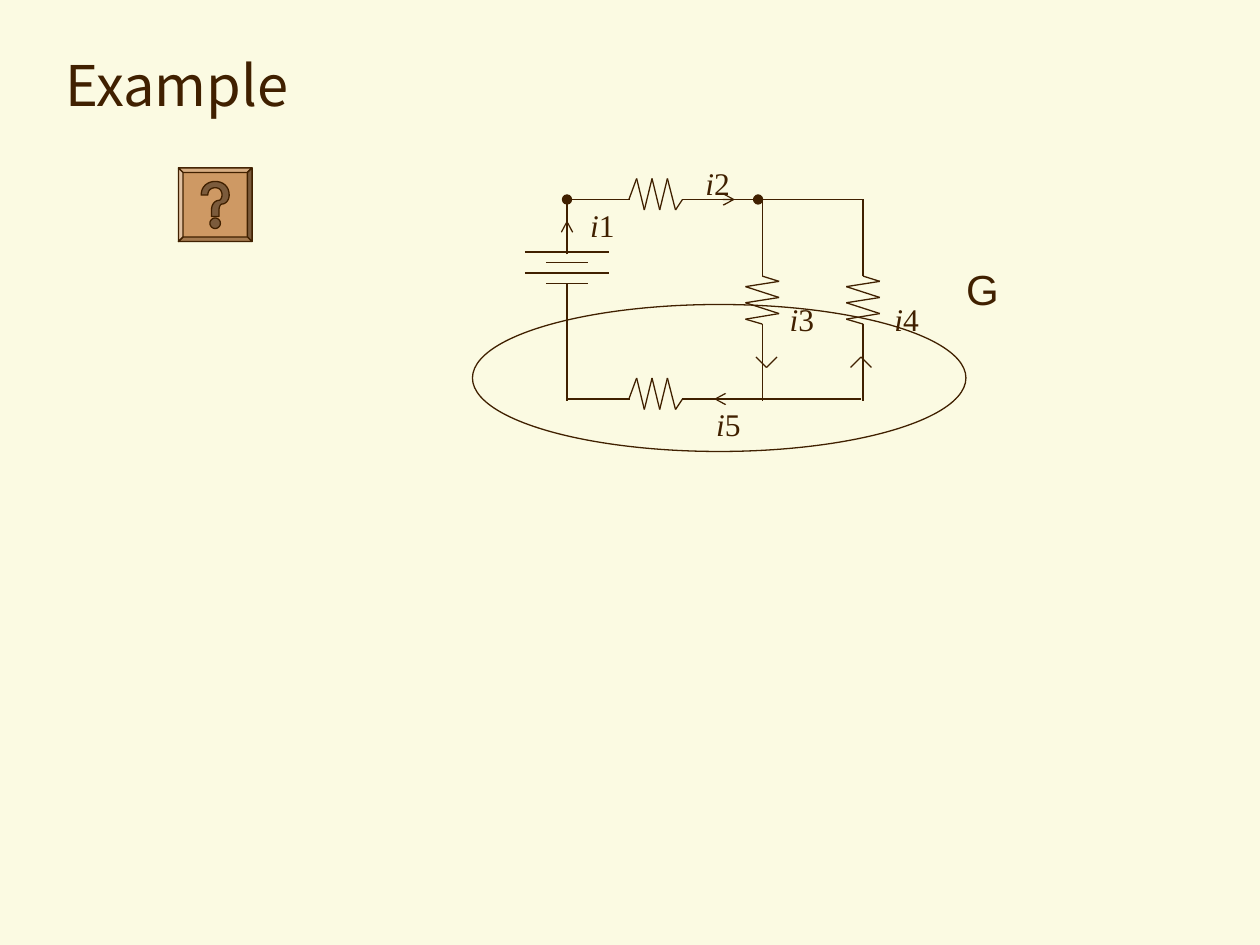
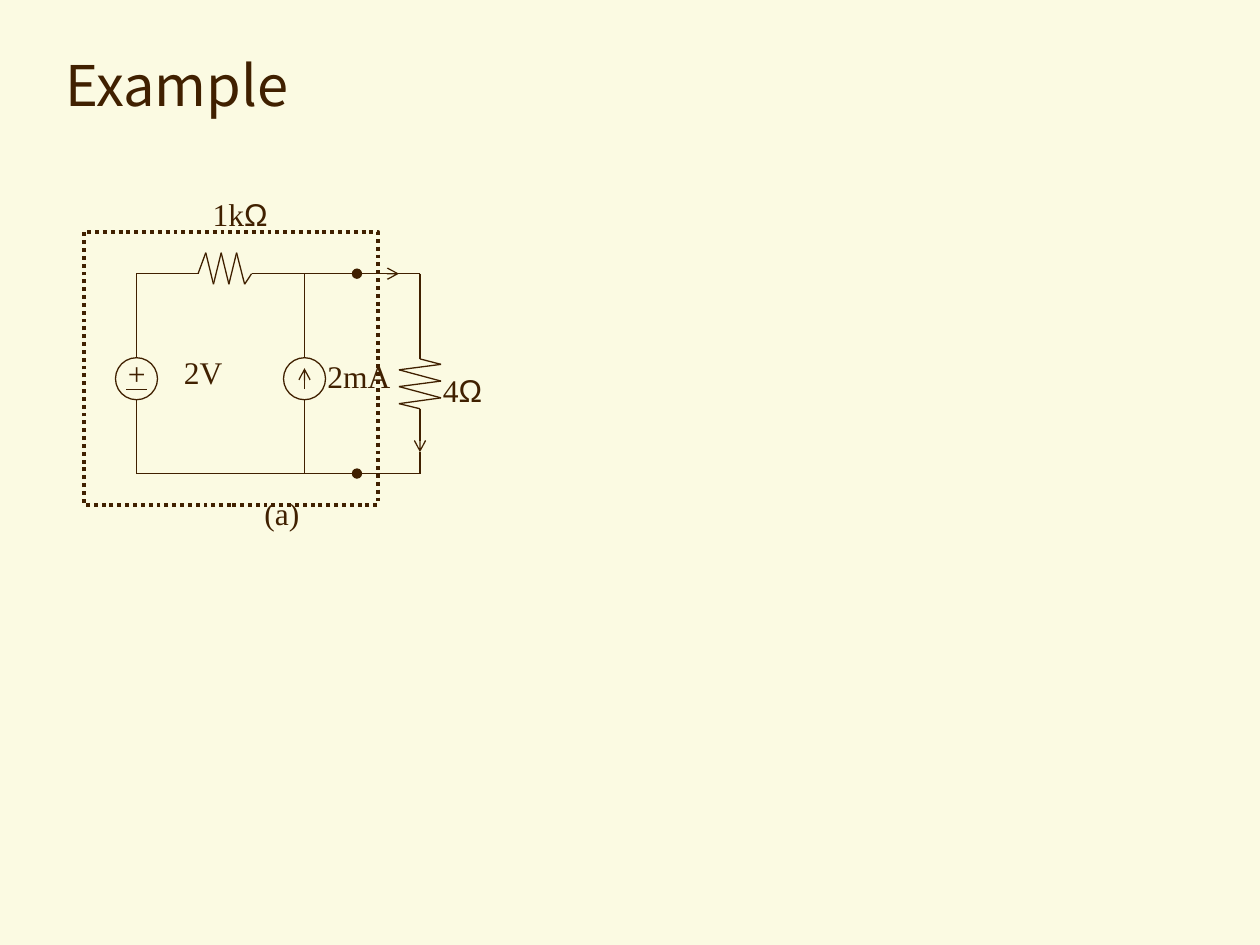
from dataclasses import dataclass
from itertools import pairwise
from math import cos, radians, sin

from lxml.etree import SubElement
from pptx import Presentation
from pptx.dml.color import RGBColor
from pptx.enum.dml import MSO_LINE
from pptx.enum.shapes import MSO_CONNECTOR, MSO_SHAPE
from pptx.enum.text import MSO_ANCHOR, MSO_AUTO_SIZE, PP_ALIGN
from pptx.oxml.ns import qn
from pptx.util import Pt


@dataclass(frozen=True)
class Theme:
    paper: str = "FBFAE2"
    ink: str = "402000"
    button: str = "CE9964"
    title_font: str = "Noto Sans CJK KR"
    label_font: str = "Times New Roman"
    symbol_font: str = "Arial"
    title_size: float = 32
    node_size: float = 24
    label_size: float = 18
    wire: float = 0.75
    frame: float = 2.25


theme = Theme()


def write(para, text, *, font=theme.label_font, size=theme.label_size, italic=False):
    span = para.add_run()
    span.text = text
    span.font.name = font
    span.font.size = Pt(size)
    span.font.italic = italic
    span.font.color.rgb = RGBColor.from_string(theme.ink)


def add_wire(shapes, start, end, head=None, tail=None):
    """Draw a straight wire; head and tail name the line ends at start and end."""
    wire = shapes.add_connector(
        MSO_CONNECTOR.STRAIGHT, *[Pt(value) for value in (*start, *end)])
    wire.line.width = Pt(theme.wire)
    wire.line.color.rgb = RGBColor.from_string(theme.ink)
    properties = wire._element.spPr
    line = properties.find(qn("a:ln"))
    for tag, kind in (("a:headEnd", head), ("a:tailEnd", tail)):
        if kind:
            SubElement(line, qn(tag), type=kind)
    SubElement(properties, qn("a:effectLst"))


# Zigzags as offsets from the start of a resistor
FLAT_ZIGZAG = [(0, 0), (4.4, -12), (8.8, 6), (13.2, -12), (17.6, 6),
               (22, -12), (26.6, 6), (30.6, 0)]
# Side (-1 to 1) and drop; the first and last steps are straight leads
UPRIGHT_ZIGZAG = [(0, 0), (0, 12.4), (1, 15.4), (-1, 18.4), (1, 24.6),
                  (-1, 27.6), (1, 33.8), (-1, 37), (0, 39.8), (0, 52.2)]

deck = Presentation()
deck.slide_width, deck.slide_height = Pt(720), Pt(540)
background = deck.slide_master.background.fill
background.solid()
background.fore_color.rgb = RGBColor.from_string(theme.paper)

pages = []
for _ in range(2):
    page = deck.slides.add_slide(deck.slide_layouts[5])
    title = page.shapes.title
    title.left, title.top, title.width, title.height = Pt(30), Pt(18), Pt(660), Pt(60)
    title.text_frame.vertical_anchor = MSO_ANCHOR.MIDDLE
    para = title.text_frame.paragraphs[0]
    para.alignment = PP_ALIGN.LEFT
    write(para, "Example", font=theme.title_font, size=theme.title_size)
    pages.append(page)
network, sources = pages

# Wires: start, end, head, tail
top, bottom = 114, 228
left, middle, right = 324, 435.6, 493.2
network_wires = [
    ((left, 145.4), (left, top)),
    ((left, 229), (left, 162)),
    ((433.2, top), (right, top), "oval"),
    ((433.2, bottom), (492, bottom)),
    ((left, top), (360, top), "oval"),
    ((390, top), (420, top), None, "arrow"),
    ((left, bottom), (360, bottom)),
    ((390, bottom), (420, bottom)),
    ((402, top), (438, top)),
    ((408, bottom), (444, bottom), "arrow"),
    ((432, 204), (438, 210)),
    ((438, 210), (444, 204)),
    ((486, 210), (492, 204)),
    ((492, 204), (498, 210)),
    ((left, 138), (left, 126), None, "arrow"),
]
for x in (middle, right):
    network_wires += [((x, top), (x, 145.4)), ((x, 197.4), (x, 229))]
for plate, half in enumerate((24, 12, 24, 12)):
    y = 144 + 6 * plate
    network_wires.append(((left - half, y), (left + half, y)))

rail, ground = 156.4, 270.6
voltage, current, port, load = 78, 174, 204, 240
source_wires = [
    ((load, rail), (load, 204.4)),
    ((load, 240.4), (load, 258.4), None, "arrow"),
    ((load, ground), (load, 258.4)),
    ((voltage, 204.4), (voltage, rail)),
    ((voltage, rail), (114, rail)),
    ((144, rail), (current, rail)),
    ((current, rail), (current, 204.4)),
    ((current, rail), (port, rail), None, "oval"),
    ((voltage, ground), (port, ground)),
    ((current, 222.4), (current, 210.4), None, "arrow"),
    ((current, 228.4), (current, ground)),
    ((voltage, ground), (voltage, 228.4)),
    ((port, rail), (load, rail)),
    ((port, ground), (load, ground), "oval"),
    ((210, rail), (228, rail), None, "arrow"),
    ((72, 222.4), (84, 222.4)),
]
for page, wires in ((network, network_wires), (sources, source_wires)):
    for wire in wires:
        add_wire(page.shapes, *wire)

# Resistors: page, start, zigzag, horizontal and vertical scale
resistors = [
    (network, (359.4, top), FLAT_ZIGZAG, 1, 1),
    (network, (359.4, bottom), FLAT_ZIGZAG, 1, 1),
    (network, (middle, 145.4), UPRIGHT_ZIGZAG, 9.6, 1),
    (network, (right, 145.4), UPRIGHT_ZIGZAG, 9.6, 1),
    (sources, (113.2, rail), FLAT_ZIGZAG, 1, 1),
    (sources, (load, 192.2), UPRIGHT_ZIGZAG, 12, 1.04),
]
for page, (x, y), zigzag, wide, tall in resistors:
    resistor = page.shapes.add_group_shape()
    corners = [(x + wide * dx, y + tall * dy) for dx, dy in zigzag]
    for start, end in pairwise(corners):
        add_wire(resistor.shapes, start, end)

# Help button: bevelled square with a question mark, in its own coordinates
button_left, button_top, side, rim = 102, 96, 42, 2.6
inner = side - rim
outer_corners = [(0, 0), (side, 0), (side, side), (0, side)]
inner_corners = [(rim, rim), (inner, rim), (inner, inner), (rim, inner)]
faces = [(outer_corners, "norm")]
for index, shade in enumerate(("lightenLess", "darken", "darkenLess", "lighten")):
    following = (index + 1) % 4
    faces.append(([outer_corners[index], outer_corners[following],
                   inner_corners[following], inner_corners[index]], shade))
dot = [(21 + 3 * cos(radians(angle)), 31.6 + 3 * sin(radians(angle)))
       for angle in range(0, 360, 15)]
faces.append((dot, "darken"))

# Each step is the end of a line, or two control points and the end of a curve
hook_steps = [
    [(23.2, 24.1)],
    [(23.2, 22.1), (24, 20.6), (25, 20.6)],
    [(27, 20.6), (29, 18.4), (29, 15.5)],
    [(29, 10.6), (25.6, 7.7), (21, 7.7)],
    [(16.6, 7.7), (13, 10.6), (13, 15.5)],
    [(16.8, 15.5)],
    [(16.8, 12.7), (18.7, 11.3), (21, 11.3)],
    [(23.3, 11.3), (24.9, 12.7), (24.9, 15.5)],
    [(24.9, 17.2), (23.9, 18.5), (23.2, 18.5)],
    [(21, 18.5), (18.9, 20.6), (18.9, 24.1)],
    [(18.9, 27.8)],
]
hook = [(23.2, 27.8)]
for step in hook_steps:
    if len(step) == 1:
        hook += step
        continue
    controls = [hook[-1], *step]
    for t in (k / 8 for k in range(1, 9)):
        weights = ((1 - t) ** 3, 3 * t * (1 - t) ** 2, 3 * t * t * (1 - t), t ** 3)
        hook.append(tuple(sum(w * point[axis] for w, point in zip(weights, controls))
                          for axis in (0, 1)))
faces.append((hook, "darken"))

builder = network.shapes.build_freeform(Pt(button_left), Pt(button_top), scale=1.0)
for index, (corners, _) in enumerate(faces):
    first, *rest = [(Pt(button_left + x), Pt(button_top + y)) for x, y in corners]
    if index:
        builder.move_to(*first)
    builder.add_line_segments(rest, close=True)
button = builder.convert_to_shape()

# Give each face an outline of its own, so that it can carry its own shade
contours = button._element.spPr.find(".//" + qn("a:pathLst"))
merged = contours[0]
shades = iter(shade for _, shade in faces)
for command in list(merged):
    if command.tag == qn("a:moveTo"):
        face = SubElement(contours, qn("a:path"), w=merged.get("w"),
                          h=merged.get("h"), fill=next(shades))
    face.append(command)
contours.remove(merged)
outlines = [(button, theme.button, theme.wire)]

# Preset shapes: page, kind, left, top, width, height, line width
presets = [
    (network, MSO_SHAPE.OVAL, 270, 174, 282, 84, theme.wire),
    (sources, MSO_SHAPE.OVAL, voltage - 12, 204.4, 24, 24, theme.wire),
    (sources, MSO_SHAPE.OVAL, current - 12, 204.4, 24, 24, theme.wire),
    (sources, MSO_SHAPE.RECTANGLE, 48, 132.4, 168, 156, theme.frame),
]
for page, kind, *place, weight in presets:
    shape = page.shapes.add_shape(kind, *[Pt(value) for value in place])
    outlines.append((shape, None, weight))

for shape, colour, weight in outlines:
    shape.shadow.inherit = False
    shape.line.width = Pt(weight)
    shape.line.color.rgb = RGBColor.from_string(theme.ink)
    if weight == theme.frame:
        shape.line.dash_style = MSO_LINE.ROUND_DOT
    if colour:
        shape.fill.solid()
        shape.fill.fore_color.rgb = RGBColor.from_string(colour)
    else:
        shape.fill.background()

# Labels: page, left, top, width, height, spans of text and format
symbol = {"font": theme.symbol_font}
labels = [
    (network, 545, 146.9, 33.1, 36,
     [("G", {"font": theme.symbol_font, "size": theme.node_size})]),
    (sources, 66, 198.7, 24, 28.8, [("+", {})]),
    (sources, 144, 278.6, 35, 28.8, [("(a)", {})]),
    (sources, 180, 200.2, 51, 28.8, [("2mA", {})]),
    (sources, 114.5, 108, 47, 28.8, [("1k", {}), ("Ω", symbol)]),
    (sources, 98, 198, 38, 28.8, [("2V", {})]),
    (sources, 246, 208.4, 38, 28.8, [("4", {}), ("Ω", symbol)]),
]
branches = [("1", 330.2, 114), ("2", 396, 90), ("3", 444.2, 168),
            ("4", 504, 168), ("5", 402.2, 228)]
for number, x, y in branches:
    labels.append((network, x, y, 30, 28.8, [("i", {"italic": True}), (number, {})]))

for page, *place, spans in labels:
    box = page.shapes.add_textbox(*[Pt(value) for value in place])
    box.text_frame.word_wrap = False
    box.text_frame.auto_size = MSO_AUTO_SIZE.SHAPE_TO_FIT_TEXT
    for text, style in spans:
        write(box.text_frame.paragraphs[0], text, **style)

deck.save("out.pptx")
